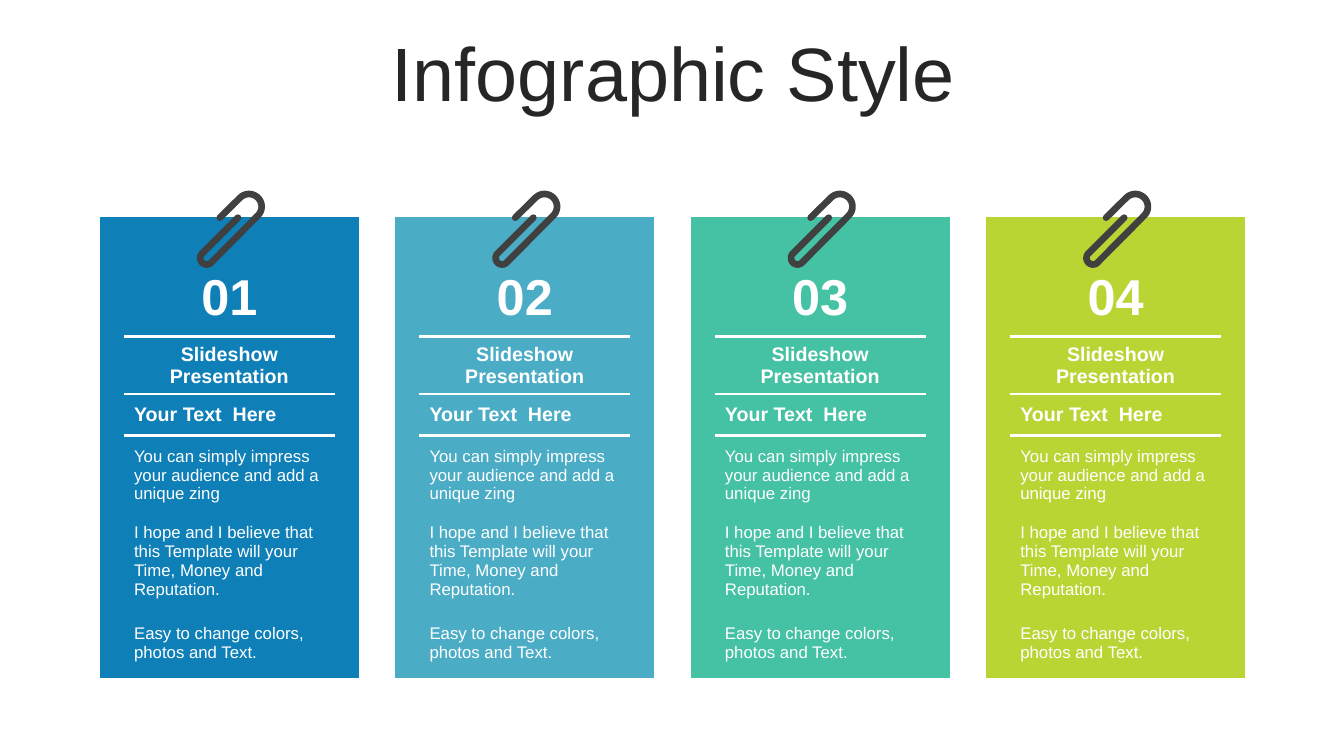
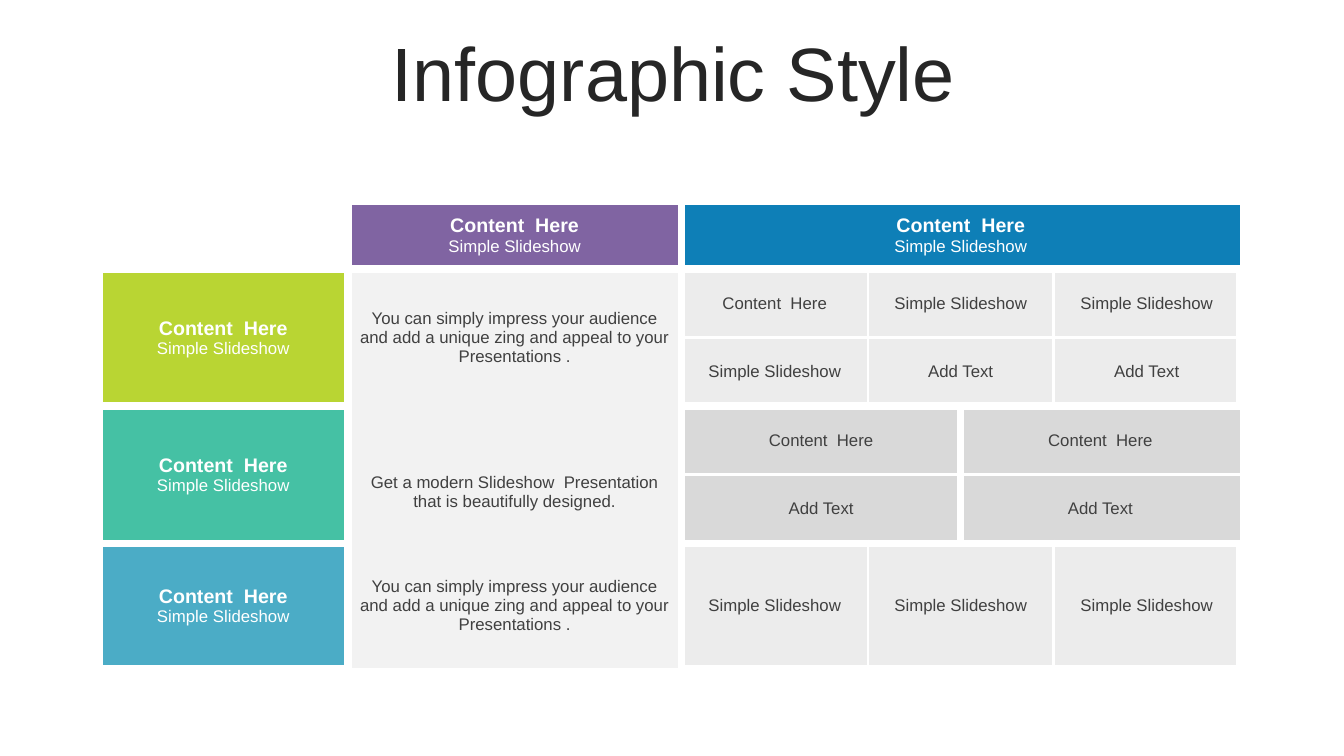
import math

import pptx
import pptx.dml.color
import pptx.enum.text
import pptx.oxml
import pptx.oxml.ns
import pptx.util

Inches = pptx.util.Inches
Pt = pptx.util.Pt
RGB = pptx.dml.color.RGBColor.from_string
ALIGN = pptx.enum.text.PP_ALIGN
MIDDLE = pptx.enum.text.MSO_ANCHOR.MIDDLE

FONT = "Arial"
COLORS = {
    "title": "262626", "text": "404040", "white": "FFFFFF",
    "blue": "0E7FB7", "sky": "4BACC6", "green": "45C1A4",
    "lime": "B9D533", "purple": "8064A2",
    "pale": "F2F2F2", "light": "ECECEC", "grey": "D9D9D9",
}
NO_STYLE = "{2D5ABB26-0587-4C30-8999-92F81FD0307C}"
THICK, THIN = 6, 2.25


def add_plain_table(slide, left, top, widths, heights):
    """Add a table without style or banding, sized by its columns and rows."""
    frame = slide.shapes.add_table(
        len(heights), len(widths), Inches(left), Inches(top),
        Inches(sum(widths)), Inches(sum(heights)))
    table = frame.table
    table.first_row = table.horz_banding = False
    table._tbl.tblPr.find(pptx.oxml.ns.qn("a:tableStyleId")).text = NO_STYLE
    for column, width in zip(table.columns, widths):
        column.width = Inches(width)
    for row, height in zip(table.rows, heights):
        row.height = Inches(height)
    return table


def format_cell(cell, fill, lines=(), color="white", align=ALIGN.CENTER, borders=None):
    """Lines are (text, size, bold); borders map a side (L, R, T, B) to points."""
    cell.fill.solid()
    cell.fill.fore_color.rgb = RGB(COLORS[fill])
    cell.vertical_anchor = MIDDLE
    if lines:
        cell.text_frame.text = "\n".join(text for text, size, bold in lines)
    for paragraph, (text, size, bold) in zip(cell.text_frame.paragraphs, lines):
        paragraph.alignment = align
        font = paragraph.runs[0].font
        font.name, font.size, font.bold = FONT, Pt(size), bold
        font.color.rgb = RGB(COLORS[color])
    borders = borders or {}
    properties = cell._tc.get_or_add_tcPr()
    for position, side in enumerate(s for s in "LRTB" if s in borders):
        properties.insert(position, pptx.oxml.parse_xml(
            f'<a:ln{side} {pptx.oxml.ns.nsdecls("a")} w="{Pt(borders[side])}">'
            f'<a:solidFill><a:srgbClr val="{COLORS["white"]}"/></a:solidFill>'
            f'</a:ln{side}>'))


deck = pptx.Presentation()
deck.slide_width, deck.slide_height = Inches(13.33), Inches(7.5)

for _ in range(2):
    title = deck.slides.add_slide(deck.slide_layouts[5]).shapes.title
    title.left, title.top = Inches(0.35), Inches(0.37)
    title.width, title.height = Inches(12.66), Inches(0.79)
    title.text_frame.text = "Infographic Style"
    title.text_frame.auto_size = pptx.enum.text.MSO_AUTO_SIZE.NONE
    title.text_frame.vertical_anchor = MIDDLE
    heading = title.text_frame.paragraphs[0]
    heading.alignment = ALIGN.CENTER
    heading.line_spacing = 0.9
    heading.runs[0].font.name = FONT
    heading.runs[0].font.size = Pt(54)
    heading.runs[0].font.color.rgb = RGB(COLORS["title"])
cards_slide, matrix_slide = deck.slides

# Slide 1: four cards, each held by a paper clip
CARD_LEFT, CARD_TOP, CARD_PITCH = 0.99, 2.15, 2.93
CARD_WIDTHS = [0.24, 2.09, 0.23]
CARD_HEIGHTS = [0.42, 0.77, 0.57, 0.41, 0.79, 0.92, 0.7]
CARD_BORDERS = {1: "B", 2: "TB", 3: "T"}
CARD_TEXT = {
    2: ("Slideshow Presentation", 14, True),
    3: ("Your Text  Here", 14, True),
    4: ("You can simply impress your audience and add a unique zing", 12, False),
    5: ("I hope and I believe that this Template will your Time, Money and Reputation.",
        12, False),
    6: ("Easy to change colors, photos and Text.", 12, False),
}

# Centre line of the clip, measured from the card's left edge and the slide's top
clip_line = [(1.19, 2.16)]
for center_x, center_y, radius, start in [(1.48, 2.05, 0.125, -135), (1.06, 2.56, 0.064, 45)]:
    for angle in range(start, start + 181, 10):
        turn = math.radians(angle)
        clip_line.append((center_x + radius * math.cos(turn),
                          center_y + radius * math.sin(turn)))
clip_line.append((1.37, 2.16))

for index, fill in enumerate(["blue", "sky", "green", "lime"]):
    left = CARD_LEFT + index * CARD_PITCH
    card = add_plain_table(cards_slide, left, CARD_TOP, CARD_WIDTHS, CARD_HEIGHTS)
    card_text = {1: (f"{index + 1:02}", 36, True), **CARD_TEXT}
    for row in range(len(CARD_HEIGHTS)):
        for side_column in (0, 2):
            format_cell(card.cell(row, side_column), fill)
        format_cell(card.cell(row, 1), fill, [card_text[row]] if row in card_text else (),
                    align=ALIGN.CENTER if row < 3 else ALIGN.LEFT,
                    borders=dict.fromkeys(CARD_BORDERS.get(row, ""), THIN))

    points = [(Inches(left + x), Inches(y)) for x, y in clip_line]
    outline = cards_slide.shapes.build_freeform(*points[0])
    outline.add_line_segments(points[1:], close=False)
    clip = outline.convert_to_shape()
    clip.shadow.inherit = False
    clip.fill.background()
    clip.line.color.rgb = RGB(COLORS["text"])
    clip.line.width = Pt(4.75)
    clip.line._get_or_add_ln().set("cap", "rnd")

# Slide 2: matrix of merged cells
matrix = add_plain_table(matrix_slide, 0.98, 2, [2.47, 3.31, 1.85, 0.92, 0.92, 1.85],
                         [0.67, 0.68, 0.68, 0.68, 0.68, 1.24])
LABEL = [("Content  Here", 14, True), ("Simple Slideshow", 12, False)]
IMPRESS = ("You can simply impress your audience and add a unique zing "
           "and appeal to your Presentations .")
MODERN = "Get a modern Slideshow  Presentation that is beautifully designed."
CONTENT, SIMPLE, ADD = "Content  Here", "Simple Slideshow", "Add Text"
THIRDS, HALVES = [(2, 1), (3, 2), (5, 1)], [(2, 2), (4, 2)]

# Each block: row, column, rows spanned, columns spanned, fill, lines, text colour
blocks = [(0, 1, 1, 1, "purple", LABEL, "white"), (0, 2, 1, 4, "blue", LABEL, "white")]
for row, span, fill, description in [
        (1, 2, "lime", IMPRESS), (3, 2, "green", MODERN), (5, 1, "sky", IMPRESS)]:
    blocks.append((row, 0, span, 1, fill, LABEL, "white"))
    blocks.append((row, 1, span, 1, "pale", [(description, 12, False)], "text"))
for row, columns, fill, texts in [
        (1, THIRDS, "light", [CONTENT, SIMPLE, SIMPLE]),
        (2, THIRDS, "light", [SIMPLE, ADD, ADD]),
        (3, HALVES, "grey", [CONTENT, CONTENT]),
        (4, HALVES, "grey", [ADD, ADD]),
        (5, THIRDS, "light", [SIMPLE, SIMPLE, SIMPLE])]:
    for (column, span), text in zip(columns, texts):
        blocks.append((row, column, 1, span, fill, [(text, 12, False)], "text"))

for row, column, row_span, column_span, fill, lines, color in blocks:
    last_row, last_column = row + row_span - 1, column + column_span - 1
    edges = dict.fromkeys("LR" if fill == "pale" else "LRTB", THICK)
    if fill in ("light", "grey"):
        inner = {"L": column > 2, "R": last_column < 5, "T": row in (2, 4), "B": row in (1, 3)}
        edges = {side: THIN if inside else THICK for side, inside in inner.items()}
    for r in range(row, last_row + 1):
        for c in range(column, last_column + 1):
            outer = {"L": c == column, "R": c == last_column, "T": r == row, "B": r == last_row}
            format_cell(matrix.cell(r, c), fill,
                        lines if (r, c) == (row, column) else (), color,
                        borders={side: width for side, width in edges.items() if outer[side]})
    if row_span * column_span > 1:
        matrix.cell(row, column).merge(matrix.cell(last_row, last_column))
matrix.cell(3, 1).margin_top = Inches(0.4)

deck.save("out.pptx")
